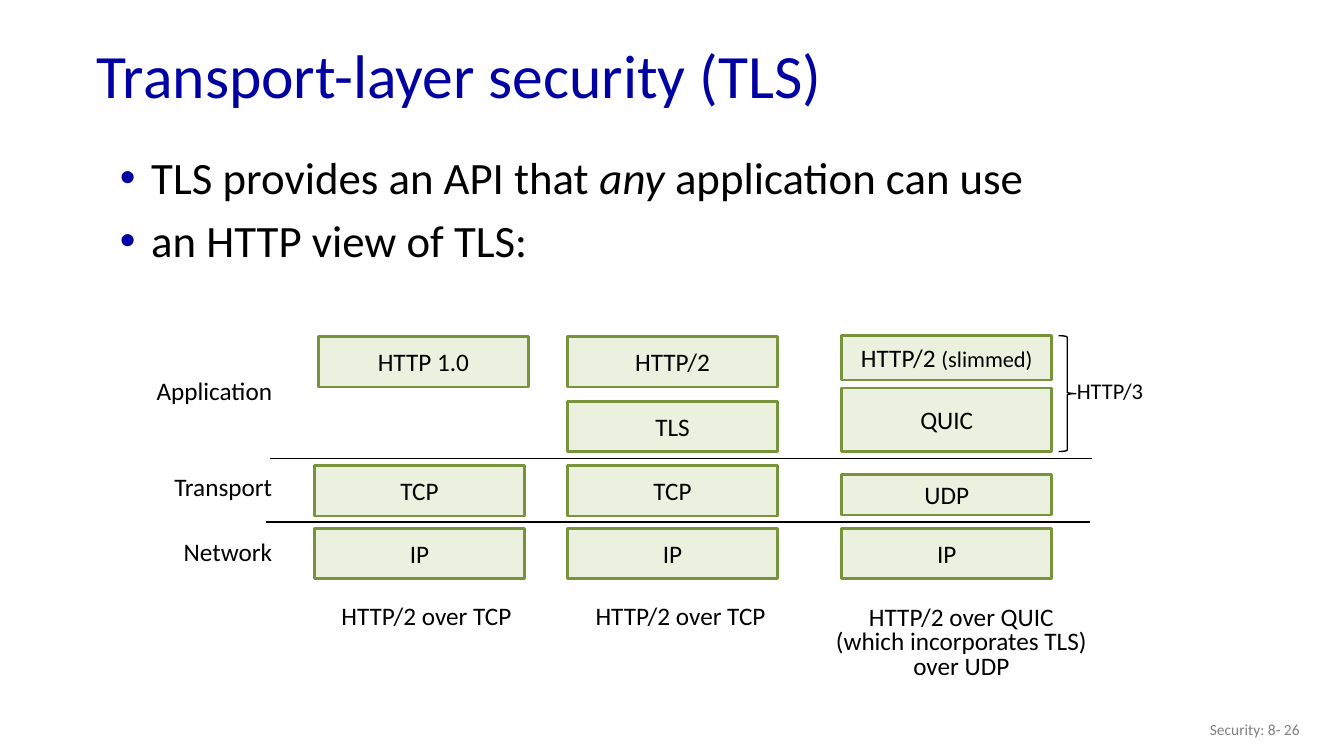
from dataclasses import dataclass

from lxml import etree
from pptx import Presentation
from pptx.dml.color import RGBColor
from pptx.enum.shapes import MSO_CONNECTOR, MSO_SHAPE
from pptx.enum.text import MSO_ANCHOR, MSO_AUTO_SIZE, PP_ALIGN
from pptx.oxml.ns import qn
from pptx.util import Inches, Pt

STRAIGHT = MSO_CONNECTOR.STRAIGHT
RECTANGLE, BRACE = MSO_SHAPE.RECTANGLE, MSO_SHAPE.RIGHT_BRACE
TOP, MIDDLE = MSO_ANCHOR.TOP, MSO_ANCHOR.MIDDLE
LEFT, CENTER, RIGHT = PP_ALIGN.LEFT, PP_ALIGN.CENTER, PP_ALIGN.RIGHT
NO_AUTOFIT = MSO_AUTO_SIZE.NONE


@dataclass(frozen=True)
class Theme:
    font: str = "Calibri"
    accent: str = "0000A3"
    ink: str = "000000"
    muted: str = "7F7F7F"
    layer_fill: str = "EBF1DE"
    layer_edge: str = "77933C"
    title: int = 44
    bullet: int = 32
    body: int = 18
    small: int = 16
    footer: int = 11


THEME = Theme()
STACK_LEFT = (3.12, 5.63, 8.35)
LAYER_WIDTH = 2.08
ROWS = {
    "application": (3.34, 0.5),
    "security": (3.98, 0.5),
    "transport": (4.62, 0.5),
    "network": (5.24, 0.5),
    "slim": (3.33, 0.44),
    "quic": (3.85, 0.63),
    "udp": (4.71, 0.4),
}
STACKS = (
    (("application", "HTTP 1.0", 0.04), ("transport", "TCP", 0), ("network", "IP", 0)),
    (("application", "HTTP/2", 0), ("security", "TLS", 0),
     ("transport", "TCP", 0), ("network", "IP", 0)),
    (("slim", "HTTP/2 ", 0), ("quic", "QUIC", 0), ("udp", "UDP", 0), ("network", "IP", 0)),
)
CAPTIONS = (
    (3.36, 1.74, ("HTTP/2 over TCP",)),
    (5.88, 1.74, ("HTTP/2 over TCP",)),
    (8.27, 2.53, ("HTTP/2 over QUIC", "(which incorporates TLS)", "over UDP")),
)
LAYER_LABELS = (("Application", 3.71), ("Transport", 4.67), ("Network", 5.31))
DIVIDERS = ((2.68, 10.83, 4.55), (2.64, 10.81, 5.18))


def color(value):
    return RGBColor.from_string(value)


def inches(*lengths):
    return [Inches(length) for length in lengths]


def add_run(paragraph, text, size, ink=THEME.ink, italic=False):
    run = paragraph.add_run()
    run.text = text
    run.font.name = THEME.font
    run.font.size = Pt(size)
    run.font.italic = italic
    run.font.color.rgb = color(ink)


def prepare_frame(holder, anchor, align, inset=0.01, wrap=True):
    frame = holder.text_frame
    frame.auto_size = NO_AUTOFIT
    frame.word_wrap = wrap
    frame.vertical_anchor = anchor
    frame.margin_left = frame.margin_right = frame.margin_bottom = 0
    frame.margin_top = Inches(inset)
    frame.paragraphs[0].alignment = align
    return frame


def add_text(slide, box, lines, size, align=LEFT, ink=THEME.ink, inset=0.01, spacing=1):
    holder = slide.shapes.add_textbox(*inches(*box))
    paragraph = prepare_frame(holder, TOP, align, inset, wrap=False).paragraphs[0]
    paragraph.line_spacing = spacing
    for index, line in enumerate(lines):
        if index:
            paragraph.add_line_break()
        add_run(paragraph, line, size, ink)


def add_title(slide, text):
    title = slide.shapes.title
    title.left, title.top, title.width, title.height = inches(0.96, 0.36, 10.44, 0.75)
    add_run(prepare_frame(title, TOP, LEFT).paragraphs[0], text, THEME.title, THEME.accent)


def add_bullets(slide, box, items):
    frame = prepare_frame(slide.shapes.add_textbox(*inches(*box)), TOP, LEFT, 0.1)
    for index, item in enumerate(items):
        paragraph = frame.add_paragraph() if index else frame.paragraphs[0]
        paragraph.space_before = Pt(6.5)
        properties = paragraph._p.get_or_add_pPr()
        properties.set("marL", str(Inches(0.33)))
        properties.set("indent", str(Inches(-0.31)))
        bullet_color = etree.SubElement(properties, qn("a:buClr"))
        etree.SubElement(bullet_color, qn("a:srgbClr"), val=THEME.accent)
        etree.SubElement(properties, qn("a:buFont"), typeface="Arial")
        etree.SubElement(properties, qn("a:buChar"), char="•")
        for text, italic in item:
            add_run(paragraph, text, THEME.bullet, italic=italic)


def add_layer(slide, column, row, text, shift):
    top, height = ROWS[row]
    layer = slide.shapes.add_shape(
        RECTANGLE, *inches(STACK_LEFT[column] + shift, top, LAYER_WIDTH, height))
    layer.shadow.inherit = False
    layer.fill.solid()
    layer.fill.fore_color.rgb = color(THEME.layer_fill)
    layer.line.color.rgb = color(THEME.layer_edge)
    layer.line.width = Pt(2)
    paragraph = prepare_frame(layer, MIDDLE, CENTER, 0).paragraphs[0]
    add_run(paragraph, text, THEME.body)
    if row == "slim":
        add_run(paragraph, "(slimmed)", THEME.small)


def add_divider(slide, start, end, height):
    divider = slide.shapes.add_connector(STRAIGHT, *inches(start, height, end, height))
    divider.line.color.rgb = color(THEME.ink)
    divider.line.width = Pt(1)
    etree.SubElement(divider._element.spPr, qn("a:effectLst"))


def add_brace(slide, box):
    brace = slide.shapes.add_shape(BRACE, *inches(*box))
    brace.shadow.inherit = False
    brace.fill.background()
    brace.line.color.rgb = color(THEME.ink)
    brace.line.width = Pt(1)


def main():
    deck = Presentation()
    deck.slide_width, deck.slide_height = inches(13.33, 7.5)
    slide = deck.slides.add_slide(deck.slide_layouts[5])
    add_title(slide, "Transport-layer security (TLS)")
    add_bullets(slide, (1.17, 1.39, 9.01, 1.27), (
        (("TLS provides an API that ", False), ("any ", True), ("application can use", False)),
        (("an HTTP view of TLS:", False),),
    ))
    for column, stack in enumerate(STACKS):
        for row, text, shift in stack:
            add_layer(slide, column, row, text, shift)
    for divider in DIVIDERS:
        add_divider(slide, *divider)
    for label, top in LAYER_LABELS:
        add_text(slide, (1.5, top, 1.2, 0.33), (label,), THEME.body, RIGHT)
    for left, width, lines in CAPTIONS:
        stacked = len(lines) > 1
        add_text(slide, (left, 5.95, width, 0.81 if stacked else 0.33), lines, THEME.body,
                 CENTER, inset=0.07 if stacked else 0.01, spacing=0.81 if stacked else 1)
    add_brace(slide, (10.5, 3.33, 0.17, 1.15))
    add_text(slide, (10.68, 3.73, 0.69, 0.29), ("HTTP/3",), THEME.small)
    add_text(slide, (12, 7.13, 1.04, 0.21), ("Security: 8- 26",), THEME.footer, ink=THEME.muted)
    deck.save("out.pptx")


if __name__ == "__main__":
    main()
